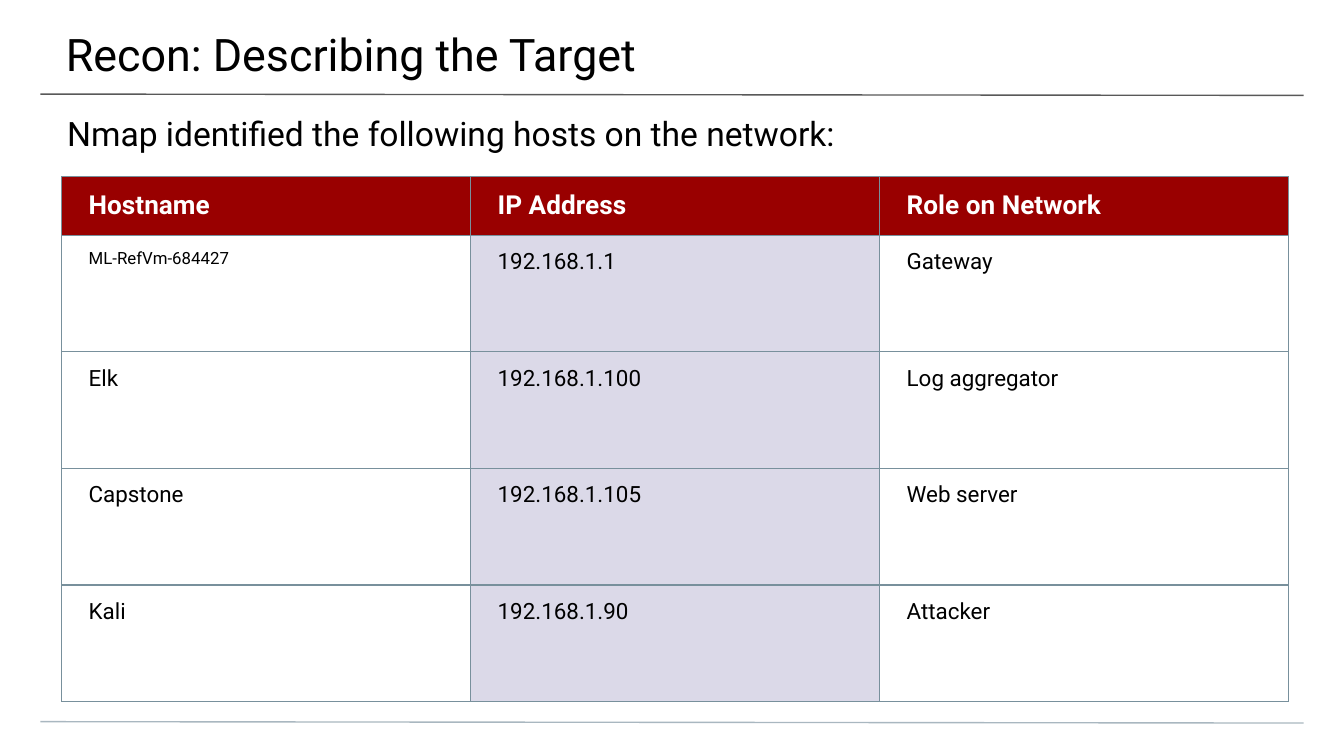
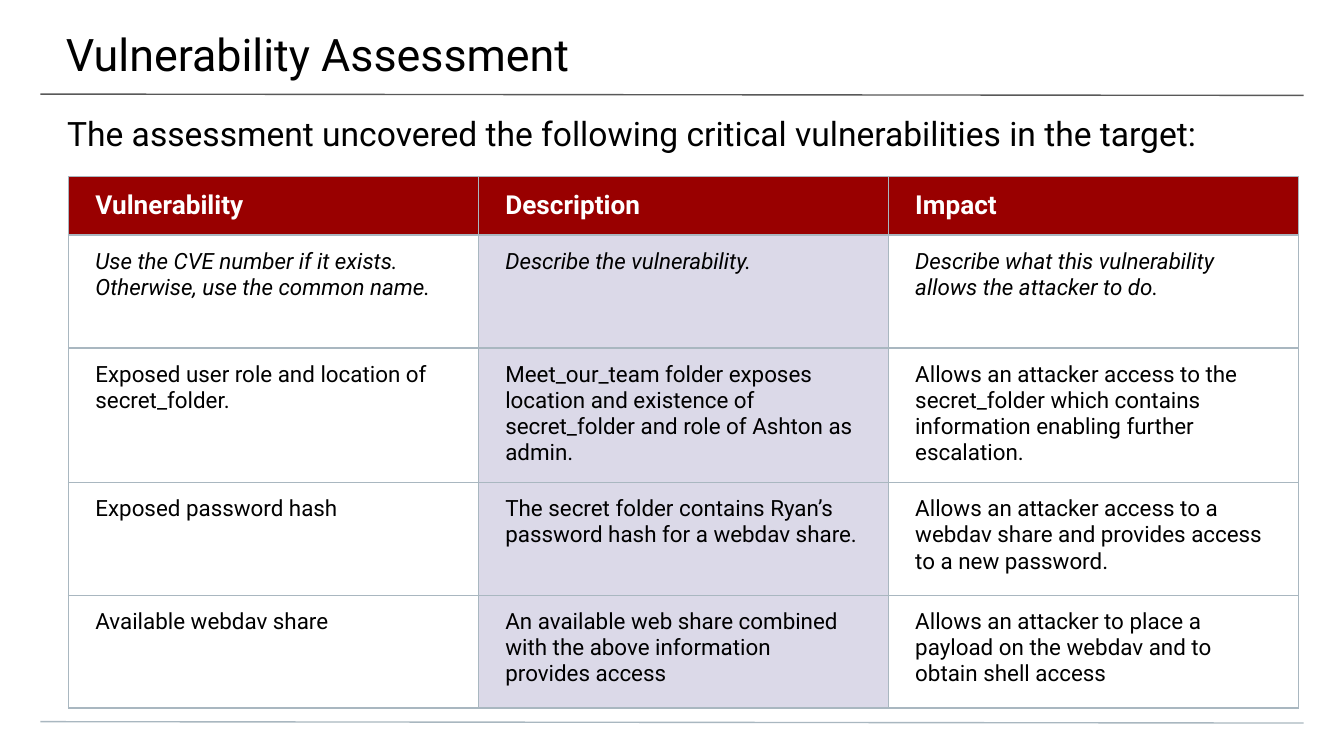
from dataclasses import dataclass

from lxml import etree
from pptx import Presentation
from pptx.dml.color import RGBColor
from pptx.enum.shapes import MSO_CONNECTOR
from pptx.enum.text import MSO_ANCHOR
from pptx.oxml.ns import qn
from pptx.util import Inches, Pt

STRAIGHT = MSO_CONNECTOR.STRAIGHT
TOP = MSO_ANCHOR.TOP
MIDDLE = MSO_ANCHOR.MIDDLE

BLACK = RGBColor(0x00, 0x00, 0x00)
WHITE = RGBColor(0xFF, 0xFF, 0xFF)
CRIMSON = RGBColor(0x99, 0x00, 0x00)
LAVENDER = RGBColor(0xDB, 0xD9, 0xE8)
CHARCOAL = RGBColor(0x59, 0x59, 0x59)
MIST = RGBColor(0xA9, 0xB7, 0xC0)
SLATE = RGBColor(0x78, 0x90, 0x9C)

FONT = "Roboto"
HAIRLINE = Pt(0.75)
SLIDE_W = Inches(10)
SLIDE_H = SLIDE_W * 9 // 16
COLUMN = SLIDE_W / 100
ROW = SLIDE_H / 56.25


@dataclass
class Box:
    left: float
    top: float
    width: float
    height: float

    def emu(self):
        return (round(self.left * COLUMN), round(self.top * ROW),
                round(self.width * COLUMN), round(self.height * ROW))


TITLE_BOX = Box(-0.1, 0, 100.3, 5.8)
SUBTITLE_BOX = Box(0, 7.4, 100, 4)
HEADER_RULE = Box(3, 7, 94, 0.1)
FOOTER_RULE = Box(3, 53.7, 94, 0.1)


def set_margins(target, left, top, right, bottom):
    target.margin_left, target.margin_top = Inches(left), Inches(top)
    target.margin_right, target.margin_bottom = Inches(right), Inches(bottom)


def add_run(paragraph, text, size, color=BLACK, bold=False, italic=False):
    paragraph.line_spacing = 1.0
    run = paragraph.add_run()
    run.text = text
    font = run.font
    font.name, font.size = FONT, Pt(size)
    font.bold, font.italic = bold, italic
    font.color.rgb = color


def add_heading(slide, box, text, size, margins):
    frame = slide.shapes.add_textbox(*box.emu()).text_frame
    frame.word_wrap = True
    frame.vertical_anchor = TOP
    set_margins(frame, *margins)
    add_run(frame.paragraphs[0], text, size)


def add_rule(slide, box, color):
    left, top, width, height = box.emu()
    rule = slide.shapes.add_connector(STRAIGHT, left, top, left + width, top + height)
    rule.line.color.rgb = color
    rule.line.width = HAIRLINE
    etree.SubElement(rule._element.spPr, qn("a:effectLst"))


def add_borders(cell, color):
    properties = cell._tc.get_or_add_tcPr()
    for side in ("lnL", "lnR", "lnT", "lnB"):
        border = etree.SubElement(properties, qn(f"a:{side}"), w=str(HAIRLINE))
        fill = etree.SubElement(border, qn("a:solidFill"))
        etree.SubElement(fill, qn("a:srgbClr"), val=str(color))


def fill_cell(cell, border_color, background, anchor):
    add_borders(cell, border_color)
    if background is None:
        cell.fill.background()
    else:
        cell.fill.solid()
        cell.fill.fore_color.rgb = background
    cell.vertical_anchor = anchor
    set_margins(cell, 0.2, 0.1, 0.2, 0.1)
    return cell.text_frame.paragraphs[0]


def add_findings(slide, box, header_height, finding_height, border_color,
                 headers, findings, styles):
    holder = slide.shapes.add_table(len(findings) + 1, len(headers), *box.emu())
    table = holder.table
    table.first_row = table.horz_banding = False
    for column in table.columns:
        column.width = round(box.width * COLUMN / len(headers))
    for index, row in enumerate(table.rows):
        row.height = round((finding_height if index else header_height) * ROW)
    holder.height = round(box.height * ROW)

    for c, header in enumerate(headers):
        paragraph = fill_cell(table.cell(0, c), border_color, CRIMSON, MIDDLE)
        add_run(paragraph, header, 14, WHITE, bold=True)
    for r, finding in enumerate(findings, 1):
        for c, text in enumerate(finding):
            background = LAVENDER if c == 1 else None
            paragraph = fill_cell(table.cell(r, c), border_color, background, TOP)
            add_run(paragraph, text, **{"size": 12, **styles.get(text, {})})


def add_findings_slide(deck, title, subtitle, **findings):
    slide = deck.slides.add_slide(deck.slide_layouts[6])
    slide.background.fill.solid()
    slide.background.fill.fore_color.rgb = WHITE
    add_rule(slide, HEADER_RULE, CHARCOAL)
    add_rule(slide, FOOTER_RULE, MIST)
    add_heading(slide, TITLE_BOX, title, 24, (0.5, 0.2, 0.3, 0.1))
    add_heading(slide, SUBTITLE_BOX, subtitle, 18, (0.5, 0.1, 0.5, 0))
    add_findings(slide, **findings)


HOSTS = [
    ("ML-RefVm-684427", "192.168.1.1", "Gateway"),
    ("Elk", "192.168.1.100", "Log aggregator"),
    ("Capstone", "192.168.1.105", "Web server"),
    ("Kali", "192.168.1.90", "Attacker"),
]

GUIDANCE = (
    "Use the CVE number if it exists. Otherwise, use the common name.",
    "Describe the vulnerability.",
    "Describe what this vulnerability allows the attacker to do.",
)

VULNERABILITIES = [
    GUIDANCE,
    ("Exposed user role and location of secret_folder.",
     "Meet_our_team folder exposes location and existence of secret_folder "
     "and role of Ashton as admin.",
     "Allows an attacker access to the secret_folder which contains "
     "information enabling further escalation."),
    ("Exposed password hash",
     "The secret folder contains Ryan’s password hash for a webdav share.",
     "Allows an attacker access to a webdav share and provides access "
     "to a new password."),
    ("Available webdav share",
     "An available web share combined with the above information provides access",
     "Allows an attacker to place a payload on the webdav and to obtain "
     "shell access"),
]


def main():
    deck = Presentation()
    deck.slide_width, deck.slide_height = SLIDE_W, SLIDE_H
    add_findings_slide(
        deck,
        "Recon: Describing the Target",
        "Nmap identified the following hosts on the network:",
        box=Box(4.6, 13.15, 91.3, 32.8),
        header_height=4.35,
        finding_height=8.68,
        border_color=SLATE,
        headers=("Hostname", "IP Address", "Role on Network"),
        findings=HOSTS,
        styles={"ML-RefVm-684427": {"size": 9}},
    )
    add_findings_slide(
        deck,
        "Vulnerability Assessment",
        "The assessment uncovered the following critical vulnerabilities in the target:",
        box=Box(5.1, 13.15, 91.5, 32.8),
        header_height=4.3,
        finding_height=8.4,
        border_color=MIST,
        headers=("Vulnerability", "Description", "Impact"),
        findings=VULNERABILITIES,
        styles={text: {"italic": True} for text in GUIDANCE},
    )
    deck.save("out.pptx")


if __name__ == "__main__":
    main()
